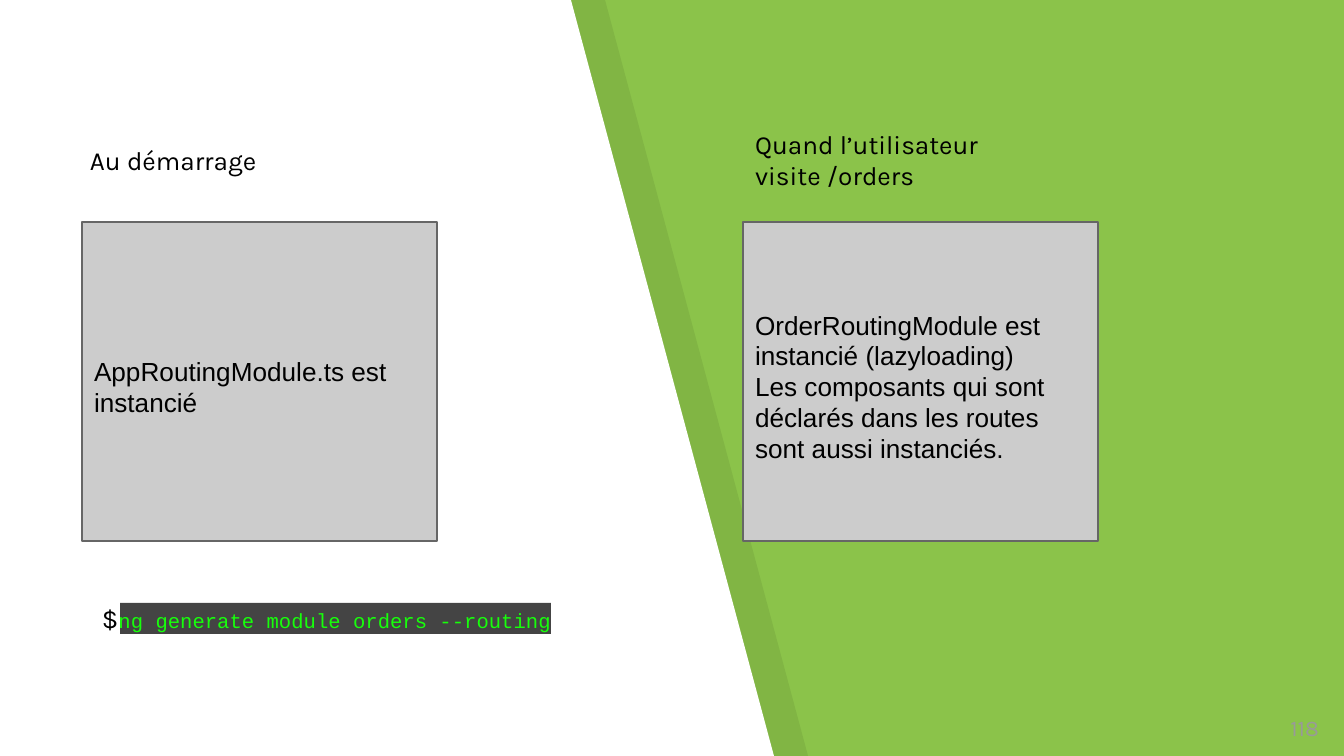
from lxml import etree
from pptx import Presentation
from pptx.dml.color import RGBColor
from pptx.enum.shapes import MSO_SHAPE
from pptx.enum.text import MSO_ANCHOR, PP_ALIGN
from pptx.oxml.ns import qn
from pptx.util import Pt

RECT = MSO_SHAPE.RECTANGLE
TOP, MIDDLE = MSO_ANCHOR.TOP, MSO_ANCHOR.MIDDLE
LEFT, RIGHT = PP_ALIGN.LEFT, PP_ALIGN.RIGHT

SLIDE_W, SLIDE_H = 1344, 756
EMU_PER_PX = 9144000 / SLIDE_W

COLORS = {
    "green": "8BC34A",
    "white": "FFFFFF",
    "black": "000000",
    "card": "CCCCCC",
    "card_edge": "666666",
    "terminal": "444444",
    "command": "17FF0B",
    "page_number": "999999",
}


def px(length):
    return round(length * EMU_PER_PX)


def rgb(name):
    return RGBColor.from_string(COLORS[name])


def paint(shape, fill, edge=None):
    shape.shadow.inherit = False
    shape.fill.solid()
    shape.fill.fore_color.rgb = rgb(fill)
    if edge:
        shape.line.color.rgb = rgb(edge)
        shape.line.width = Pt(0.75)
    else:
        shape.line.fill.background()


def add_rect(slide, box, fill, edge=None):
    rect = slide.shapes.add_shape(RECT, *map(px, box))
    paint(rect, fill, edge)
    return rect


def set_frame(shape, wrap, anchor, margins=(0, 0, 0, 0)):
    """Set wrapping, anchor and left, top, right, bottom insets."""
    frame = shape.text_frame
    frame.word_wrap = wrap
    frame.vertical_anchor = anchor
    (frame.margin_left, frame.margin_top,
     frame.margin_right, frame.margin_bottom) = map(px, margins)
    return frame


def add_run(paragraph, text, size, font, color):
    run = paragraph.add_run()
    run.text = text
    run.font.size = Pt(size)
    run.font.name = font
    run.font.color.rgb = rgb(color)


def add_label(slide, box, lines, align=LEFT):
    """Unwrapped text; each line is a list of (text, size, font, color)."""
    label = slide.shapes.add_textbox(*map(px, box))
    paragraph = set_frame(label, False, TOP, (1, 1, 0, 0)).paragraphs[0]
    paragraph.alignment = align
    for index, runs in enumerate(lines):
        if index:
            paragraph.add_line_break()
        for run in runs:
            add_run(paragraph, *run)


def add_slanted_panel(slide, box, slant, fill, opacity=None):
    """Panel whose right edge leans out by slant from top to bottom."""
    left, top, width, height = box
    outline = slide.shapes.build_freeform(left, top, scale=EMU_PER_PX)
    outline.add_line_segments([
        (left + width - slant, top),
        (left + width, top + height),
        (left, top + height),
    ])
    panel = outline.convert_to_shape()
    paint(panel, fill)
    if opacity:
        color = panel.fill._xPr.find(".//" + qn("a:srgbClr"))
        etree.SubElement(color, qn("a:alpha"), val=str(opacity * 1000))


def add_backdrop(slide, box):
    left, top, _, height = box
    add_rect(slide, box, "green")
    add_slanted_panel(slide, (left + 33, top, 775, height), 203, "black", 7)
    add_slanted_panel(slide, (left, top, 774, height), 203, "white")


def add_stage(slide, box, heading, heading_offset, description):
    """Heading above a grey card; heading_offset is from the card corner."""
    left, top, width, _ = box
    card = add_rect(slide, box, "card", "card_edge")
    frame = set_frame(card, True, MIDDLE, (12, 10, 44, 0))
    paragraph = frame.paragraphs[0]
    paragraph.alignment = LEFT
    paragraph.line_spacing = Pt(16.5)
    add_run(paragraph, description, 14, "Arial", "black")

    dx, dy = heading_offset
    add_label(slide, (left + dx, top + dy, width - 2 * dx, -dy - 30),
              [[(line, 14, "Karla", "black")] for line in heading])


def add_command(slide, box):
    left, top, width, height = box
    add_rect(slide, (left + 19, top + 2, width - 21, height - 4), "terminal")
    add_label(slide, box, [[
        ("$", 14, "Karla", "black"),
        ("ng generate module orders --routing", 11, "Courier New", "command"),
    ]])


def add_page_number(slide, box):
    add_label(slide, box, [[("118", 12, "Karla", "page_number")]], RIGHT)


def main():
    deck = Presentation()
    deck.slide_width, deck.slide_height = px(SLIDE_W), px(SLIDE_H)
    slide = deck.slides.add_slide(deck.slide_layouts[6])

    add_backdrop(slide, (0, 0, SLIDE_W, SLIDE_H))
    add_stage(slide, (82, 222, 355, 319), ["Au démarrage"], (7, -79),
              "AppRoutingModule.ts est instancié")
    add_stage(slide, (743, 222, 355, 319),
              ["Quand l’utilisateur", "visite /orders"], (11, -95),
              "OrderRoutingModule est instancié (lazyloading) "
              "Les composants qui sont déclarés dans les routes "
              "sont aussi instanciés.")
    add_command(slide, (101, 601, 452, 35))
    add_page_number(slide, (1250, 713, 69, 28))
    deck.save("out.pptx")


if __name__ == "__main__":
    main()
